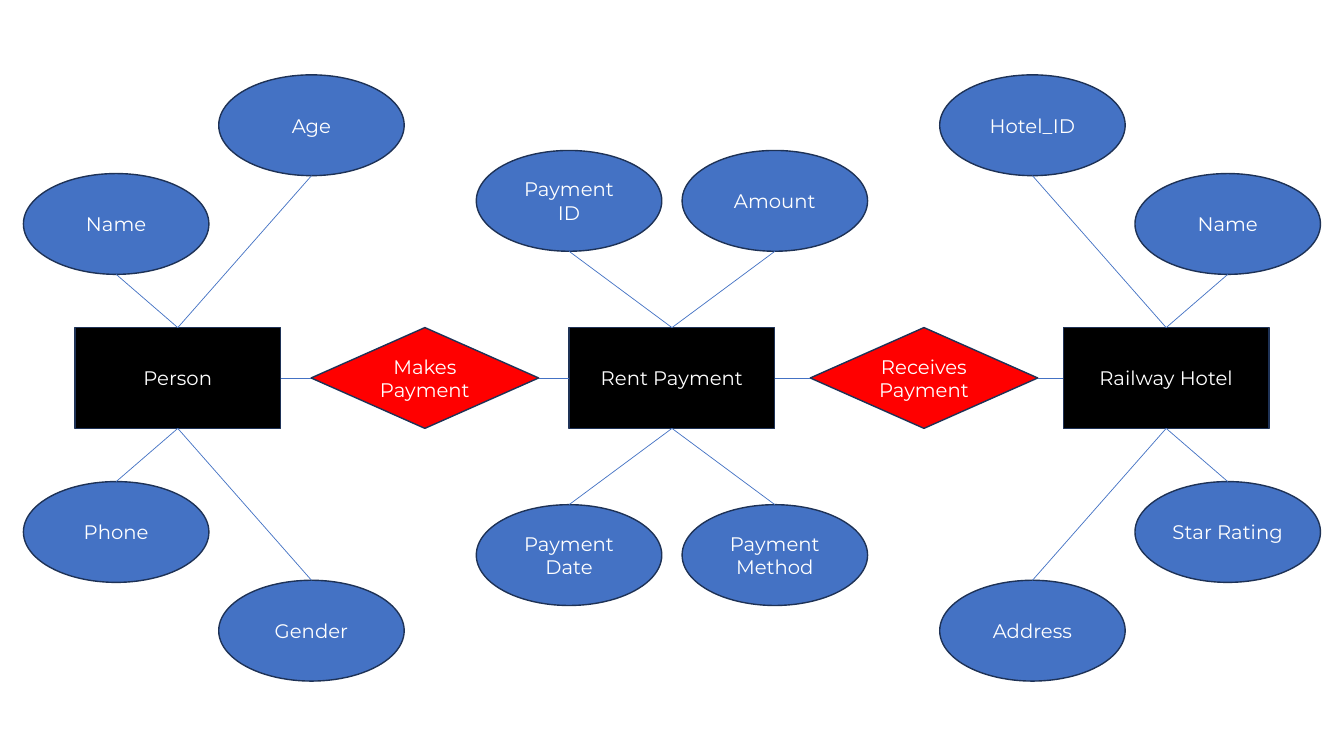
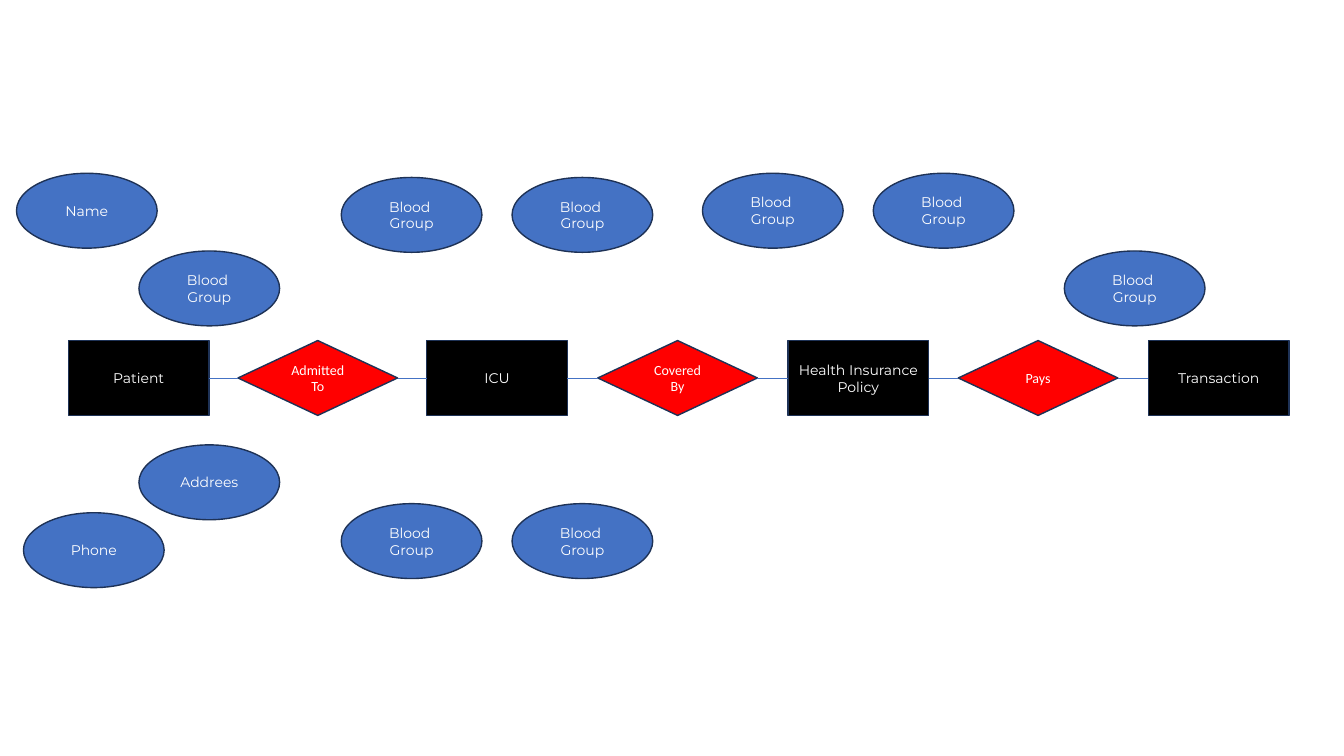
import dataclasses
import pptx
import pptx.dml.color
import pptx.enum.shapes
import pptx.enum.text
import pptx.oxml
import pptx.util

Pt = pptx.util.Pt
RGBColor = pptx.dml.color.RGBColor
Shape = pptx.enum.shapes.MSO_SHAPE

# Shared look
BLACK = RGBColor(0x00, 0x00, 0x00)
RED = RGBColor(0xFF, 0x00, 0x00)
BLUE = RGBColor(0x44, 0x72, 0xC4)
NAVY = RGBColor(0x1E, 0x32, 0x56)
WHITE = RGBColor(0xFF, 0xFF, 0xFF)
FONT = "Montserrat"
SLIDE_WIDTH, SLIDE_HEIGHT = 960, 540
MIDDLE = SLIDE_HEIGHT / 2
BLANK_LAYOUT = 6
TOP, LEFT, BOTTOM, RIGHT = range(4)  # connection sites


@dataclasses.dataclass
class Style:
    """Sizes of the elements on one slide, in points."""
    entity_width: float
    relation_width: float
    attribute_width: float
    height: float
    font_size: float
    relation_font: str = FONT


class Diagram:
    """An entity-relationship diagram on one slide."""

    def __init__(self, presentation, style):
        self.style = style
        self.slide = presentation.slides.add_slide(
            presentation.slide_layouts[BLANK_LAYOUT])

    def node(self, kind, x, y, width, text, color, font=FONT):
        """Draw a labelled shape centred on (x, y)."""
        height = self.style.height
        shape = self.slide.shapes.add_shape(
            kind, Pt(x - width / 2), Pt(y - height / 2), Pt(width), Pt(height))
        shape.shadow.inherit = False
        shape.fill.solid()
        shape.fill.fore_color.rgb = color
        shape.line.color.rgb = NAVY
        shape.line.width = Pt(1)
        shape.text_frame.text = text
        shape.text_frame.vertical_anchor = pptx.enum.text.MSO_ANCHOR.MIDDLE
        for paragraph in shape.text_frame.paragraphs:
            paragraph.alignment = pptx.enum.text.PP_ALIGN.CENTER
            for run in paragraph.runs:
                run.font.name = font
                run.font.size = Pt(self.style.font_size)
                run.font.color.rgb = WHITE
        return shape

    def link(self, start, start_site, end_x, end_y):
        """Draw a line from a site of a shape to a point."""
        connector = self.slide.shapes.add_connector(
            pptx.enum.shapes.MSO_CONNECTOR.STRAIGHT, 0, 0, end_x, end_y)
        connector.begin_connect(start, start_site)
        connector.line.color.rgb = BLUE
        connector.line.width = Pt(0.5)
        properties = connector._element.spPr
        properties.append(properties.makeelement(
            pptx.oxml.ns.qn("a:effectLst"), {}))
        return connector

    def entity(self, x, text):
        return self.node(Shape.RECTANGLE, x, MIDDLE,
                         self.style.entity_width, text, BLACK)

    def relation(self, left, right, x, text):
        """Draw a diamond between two entities and join it to both."""
        diamond = self.node(Shape.FLOWCHART_DECISION, x, MIDDLE,
                            self.style.relation_width, text, RED,
                            self.style.relation_font)
        for start, end in ((left, diamond), (diamond, right)):
            connector = self.link(start, RIGHT, end.left, Pt(MIDDLE))
            connector.end_connect(end, LEFT)

    def attribute(self, x, y, text, owner=None):
        """Draw an oval, joined to its owner when one is given."""
        oval = self.node(Shape.OVAL, x, y,
                         self.style.attribute_width, text, BLUE)
        if owner is not None:
            above = y < MIDDLE
            self.link(owner, TOP if above else BOTTOM, Pt(x),
                      oval.top + oval.height if above else oval.top)

    def build(self, entities, relations, linked):
        """Draw entities with their attributes, given as offsets, then relations."""
        shapes = []
        for x, name, attributes in entities:
            shape = self.entity(x, name)
            shapes.append(shape)
            for offset_x, offset_y, text in attributes:
                self.attribute(x + offset_x, MIDDLE + offset_y, text,
                               shape if linked else None)
        for left, right, (x, text) in zip(shapes, shapes[1:], relations):
            self.relation(left, right, x, text)


presentation = pptx.Presentation()
presentation.slide_width = Pt(SLIDE_WIDTH)
presentation.slide_height = Pt(SLIDE_HEIGHT)

# Slide 1: hotel payments
hotel = Diagram(presentation, Style(147, 162.5, 132.5, 72, 14))
hotel.build(
    [
        (127, "Person", [
            (95.5, -180.5, "Age"), (-44, -110, "Name"),
            (95.5, 180.5, "Gender"), (-44, 110, "Phone")]),
        (480, "Rent Payment", [
            (-73.5, -126.5, "Payment ID"), (73.5, -126.5, "Amount"),
            (-73.5, 126.5, "Payment\nDate"), (73.5, 126.5, "Payment\nMethod")]),
        (833, "Railway Hotel", [
            (-95.5, -180.5, "Hotel_ID"), (44, -110, "Name"),
            (-95.5, 180.5, "Address"), (44, 110, "Star Rating")]),
    ],
    [(303.5, "Makes Payment"), (660, "Receives Payment")],
    linked=True)

# Slide 2: intensive care and insurance
BLOOD_GROUP = "Blood \nGroup"
hospital = Diagram(presentation, Style(100.5, 114, 100.5, 53.5, 10, "Calibri"))
hospital.build(
    [
        (99, "Patient", [
            (-37, -119.5, "Name"), (50.5, -64, BLOOD_GROUP),
            (-32, 123, "Phone"), (50.5, 74.5, "Addrees")]),
        (355, "ICU", [(x, y, BLOOD_GROUP)
                      for y in (-116.5, 116.5) for x in (-61, 61)]),
        (613, "Health Insurance Policy", [(x, -119.5, BLOOD_GROUP)
                                          for x in (-61, 61)]),
        (870.5, "Transaction", [(-60, -64, BLOOD_GROUP)]),
    ],
    [(227, "Admitted To"), (484, "Covered By"), (741.5, "Pays")],
    linked=False)

presentation.save("out.pptx")
